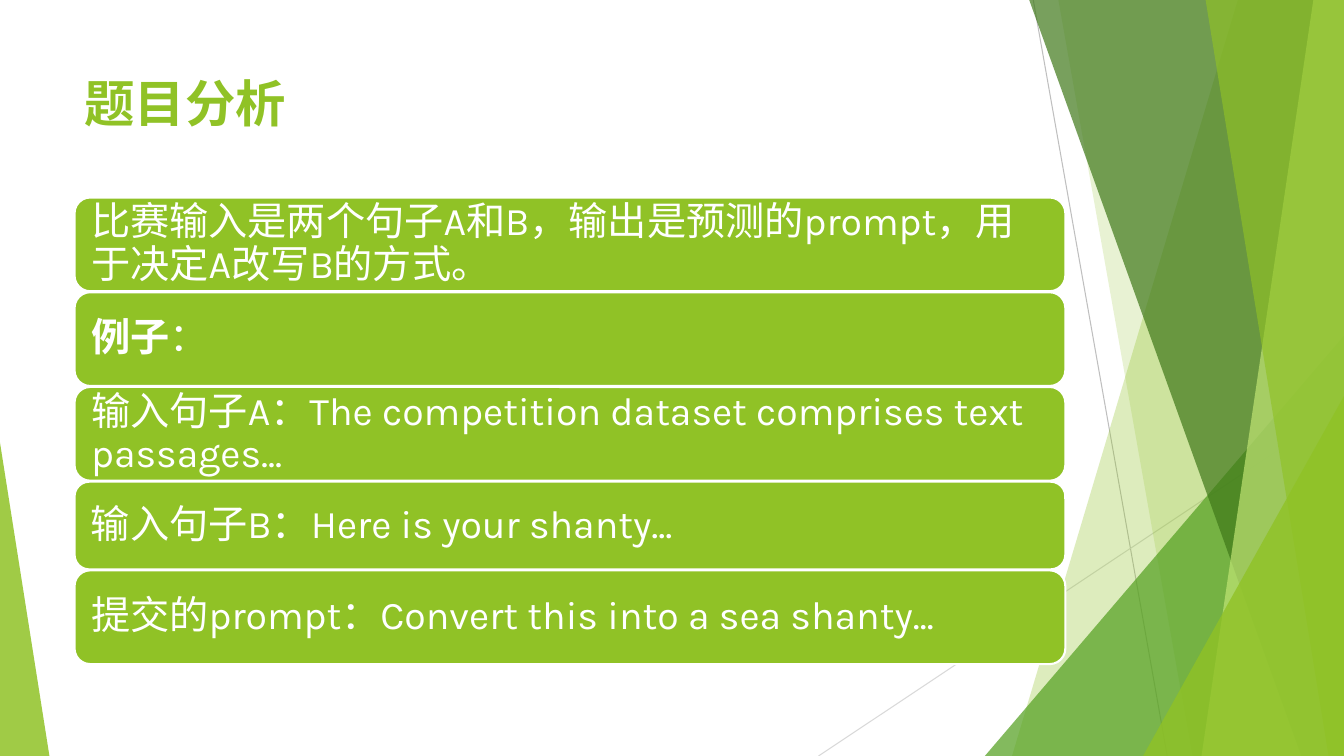
from lxml import etree
from pptx import Presentation
from pptx.dml.color import RGBColor
from pptx.enum.shapes import MSO_CONNECTOR, MSO_SHAPE
from pptx.enum.text import MSO_ANCHOR, PP_ALIGN
from pptx.oxml.ns import qn
from pptx.util import Inches, Pt

STRAIGHT = MSO_CONNECTOR.STRAIGHT
TRIANGLE = MSO_SHAPE.ISOSCELES_TRIANGLE
ROUNDED = MSO_SHAPE.ROUNDED_RECTANGLE
TOP, MIDDLE = MSO_ANCHOR.TOP, MSO_ANCHOR.MIDDLE
LEFT = PP_ALIGN.LEFT

GREEN = RGBColor(0x90, 0xC2, 0x26)
LEAF = RGBColor(0x54, 0xA0, 0x21)
FOREST = RGBColor(0x3F, 0x78, 0x19)
LIME = RGBColor(0xC0, 0xE4, 0x74)
WHITE = RGBColor(0xFF, 0xFF, 0xFF)
GREY = RGBColor(0xBF, 0xBF, 0xBF)
LIGHT_GREY = RGBColor(0xD9, 0xD9, 0xD9)

RAYS = [((76.88, 0), (86.85, 100), GREY), ((100, 53.73), (60.9, 100), LIGHT_GREY)]
BACK_BANDS = [(92.1, 75.3, GREEN, 30), (78.75, 88.72, GREEN, 20)]
FRONT_BANDS = [(76.58, 96.82, FOREST, 70), (97.72, 89.4, LIME, 70), (89.7, 98.85, GREEN, 65)]

CARD_LEFT, CARD_WIDTH, CARD_TOP, CARD_GAP = 5.55, 73.72, 26.13, 0.13
CARDS = [
    (12.4, [("比赛输入是两个句子A和B，输出是预测的prompt，用于决定A改写B的方式。", False)]),
    (12.4, [("例子", True), ("：", False)]),
    (12.4, [("输入句子A：The competition dataset comprises text passages...", False)]),
    (11.6, [("输入句子B：Here is your shanty...", False)]),
    (12.4, [("提交的prompt：Convert this into a sea shanty...", False)]),
]


class FacetSlide:
    """Draws green facet elements, with lengths in percent of the slide's size."""

    font_name = "Karla"

    def __init__(self, presentation):
        self.width = presentation.slide_width
        self.height = presentation.slide_height
        self.slide = presentation.slides.add_slide(presentation.slide_layouts[6])
        self.shapes = self.slide.shapes

    def place(self, *lengths):
        sides = (self.width, self.height) * 2
        return [round(side * share / 100) for side, share in zip(sides, lengths)]

    def paint(self, shape, color, opacity=100):
        shape.shadow.inherit = False
        shape.fill.solid()
        shape.fill.fore_color.rgb = color
        shape.line.fill.background()
        if opacity < 100:
            color_element = shape._element.spPr.find(qn("a:solidFill"))[0]
            etree.SubElement(color_element, qn("a:alpha"), val=str(opacity * 1000))

    def ray(self, start, end, color):
        connector = self.shapes.add_connector(STRAIGHT, *self.place(*start, *end))
        connector.line.color.rgb = color
        connector.line.width = Pt(0.75)
        etree.SubElement(connector._element.spPr, qn("a:effectLst"))

    def band(self, top_x, bottom_x, color, opacity):
        builder = self.shapes.build_freeform(*self.place(top_x, 0))
        corners = [(100, 0), (100, 100), (bottom_x, 100)]
        builder.add_line_segments([self.place(*corner) for corner in corners])
        self.paint(builder.convert_to_shape(), color, opacity)

    def triangle(self, left, top, width, apex, color, opacity):
        shape = self.shapes.add_shape(TRIANGLE, *self.place(left, top, width, 100 - top))
        shape.adjustments[0] = apex
        self.paint(shape, color, opacity)

    def add_text(self, shape, runs, size, color, frame_format, paragraph_format):
        frame = shape.text_frame
        paragraph = frame.paragraphs[0]
        for target, values in ((frame, frame_format), (paragraph, paragraph_format)):
            for name, value in values.items():
                setattr(target, name, value)
        for text, bold in runs:
            run = paragraph.add_run()
            run.text = text
            run_format = {"name": self.font_name, "size": Pt(size), "bold": bold}
            for name, value in run_format.items():
                setattr(run.font, name, value)
            run.font.color.rgb = color

    def title(self, text, left, top, width, height):
        box = self.shapes.add_textbox(*self.place(left, top, width, height))
        frame_format = {"word_wrap": True, "vertical_anchor": TOP}
        self.add_text(box, [(text, True)], 36, GREEN, frame_format, {"alignment": LEFT})

    def card(self, runs, top, height):
        shape = self.shapes.add_shape(ROUNDED, *self.place(CARD_LEFT, top, CARD_WIDTH, height))
        self.paint(shape, GREEN)
        shape.line.color.rgb = WHITE
        shape.line.width = Pt(1.5)
        sides = ("left", "top", "right", "bottom")
        frame_format = {f"margin_{side}": Inches(0.12) for side in sides}
        frame_format.update(word_wrap=True, vertical_anchor=MIDDLE)
        paragraph_format = {"alignment": LEFT, "line_spacing": 0.9}
        self.add_text(shape, runs, 28, WHITE, frame_format, paragraph_format)


def main():
    presentation = Presentation()
    presentation.slide_width = Inches(13.33)
    presentation.slide_height = Inches(7.5)
    page = FacetSlide(presentation)

    for ray in RAYS:
        page.ray(*ray)
    for band in BACK_BANDS:
        page.band(*band)
    page.triangle(73.28, 44.4, 26.72, 1, LEAF, 72)
    for band in FRONT_BANDS:
        page.band(*band)
    page.triangle(85.05, 52.4, 14.95, 1, GREEN, 80)
    page.triangle(0, 58.53, 3.68, 0, GREEN, 85)

    page.title("题目分析", 5.55, 8.93, 70.5, 19.2)
    top = CARD_TOP
    for height, runs in CARDS:
        page.card(runs, top, height)
        top += height + CARD_GAP

    presentation.save("out.pptx")


if __name__ == "__main__":
    main()
